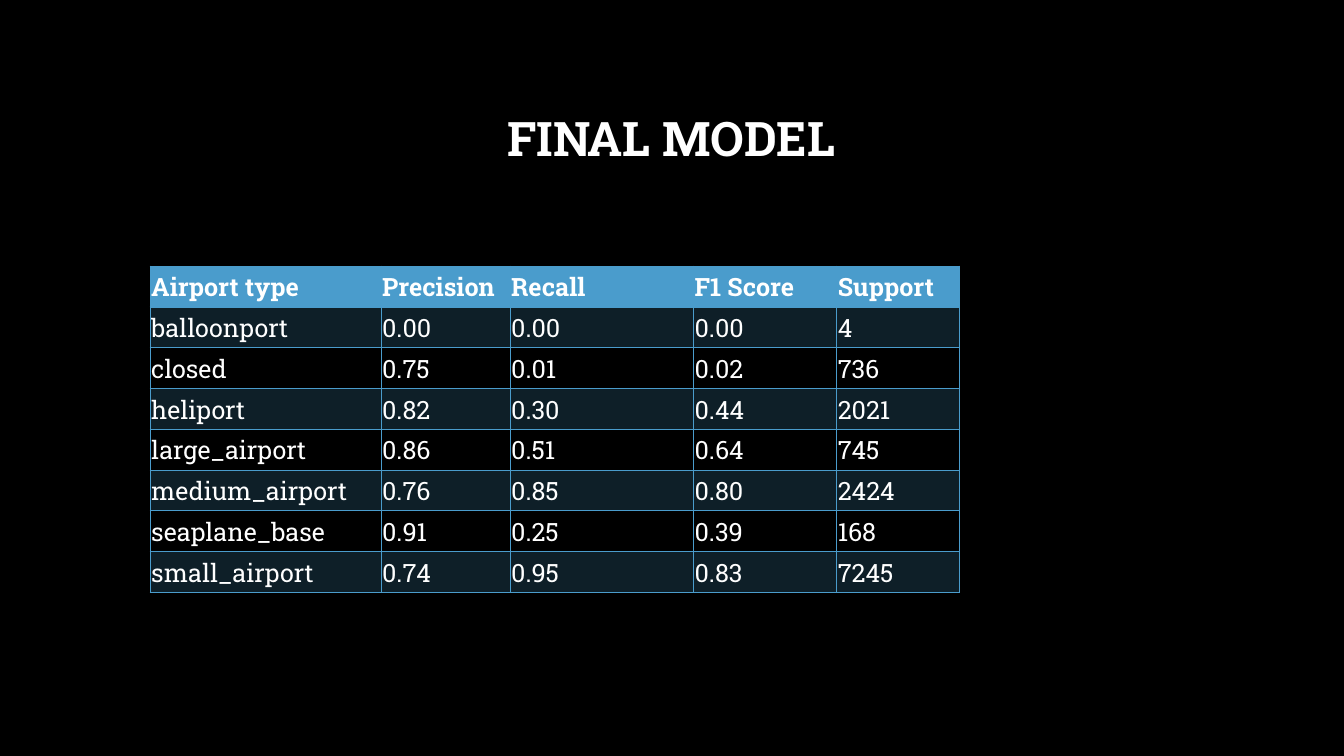
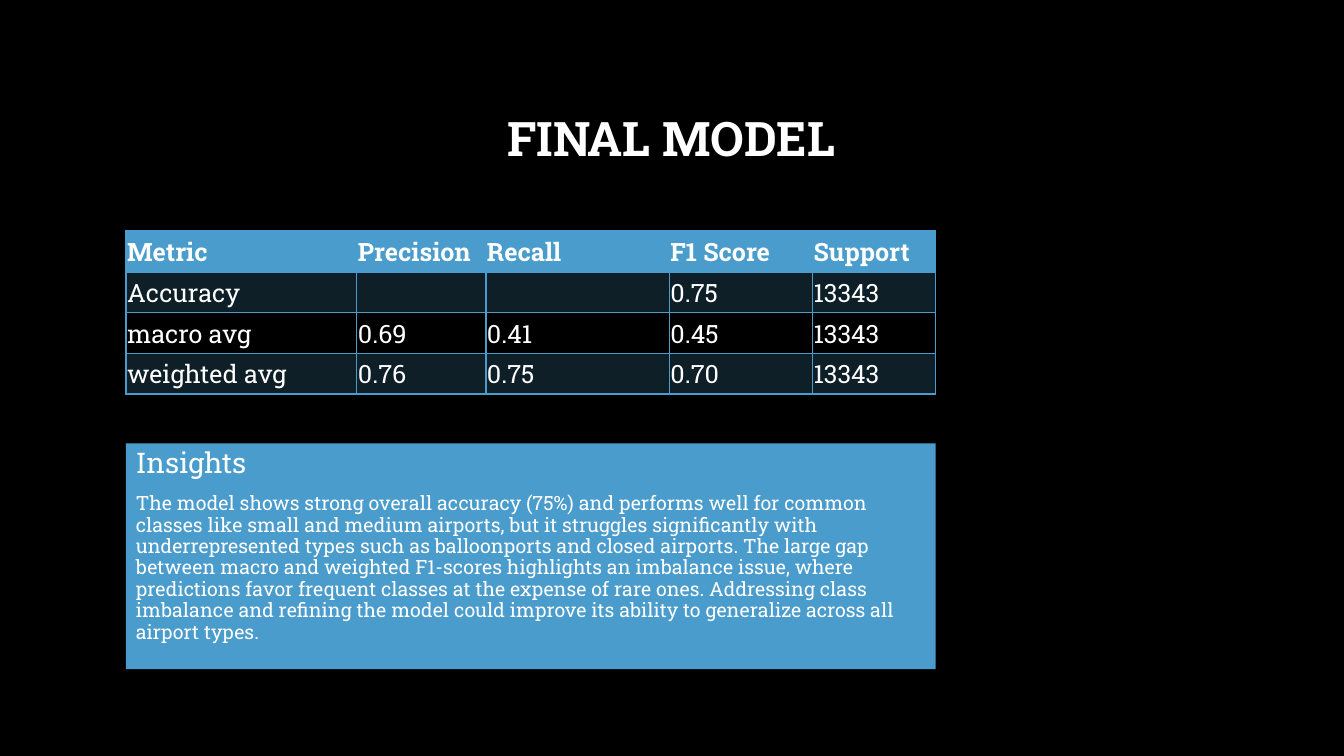
from pptx import Presentation
from pptx.dml.color import RGBColor
from pptx.enum.shapes import MSO_SHAPE
from pptx.enum.text import MSO_ANCHOR, PP_ALIGN
from pptx.oxml.ns import qn
from pptx.util import Inches, Pt
from lxml.etree import SubElement

FONT = "Roboto Slab"
BLACK, WHITE, BLUE = "000000", "FFFFFF", "4A9CCC"
COLUMN_WIDTHS = [2.29, 1.28, 1.82, 1.42, 1.22]
TABLE_WIDTH = sum(COLUMN_WIDTHS)
ROW_HEIGHT = 0.405
SCORES = ["Precision", "Recall", "F1 Score", "Support"]

AIRPORT_ROWS = [
    ["Airport type", *SCORES],
    ["balloonport", "0.00", "0.00", "0.00", "4"],
    ["closed", "0.75", "0.01", "0.02", "736"],
    ["heliport", "0.82", "0.30", "0.44", "2021"],
    ["large_airport", "0.86", "0.51", "0.64", "745"],
    ["medium_airport", "0.76", "0.85", "0.80", "2424"],
    ["seaplane_base", "0.91", "0.25", "0.39", "168"],
    ["small_airport", "0.74", "0.95", "0.83", "7245"],
]
SUMMARY_ROWS = [
    ["Metric", *SCORES],
    ["Accuracy", "", "", "0.75", "13343"],
    ["macro avg", "0.69", "0.41", "0.45", "13343"],
    ["weighted avg", "0.76", "0.75", "0.70", "13343"],
]
INSIGHTS = (
    "The model shows strong overall accuracy (75%) and performs well for common "
    "classes like small and medium airports, but it struggles significantly with "
    "underrepresented types such as balloonports and closed airports. The large gap "
    "between macro and weighted F1-scores highlights an imbalance issue, where "
    "predictions favor frequent classes at the expense of rare ones. Addressing class "
    "imbalance and refining the model could improve its ability to generalize across "
    "all airport types."
)


def rgb(color):
    return RGBColor.from_string(color)


def write(p, text, size, bold=False):
    p.text = text
    for r in p.runs:
        r.font.name = FONT
        r.font.size = Pt(size)
        r.font.bold = bold
        r.font.color.rgb = rgb(WHITE)


def add_slide(prs, title):
    s = prs.slides.add_slide(prs.slide_layouts[6])
    s.background.fill.solid()
    s.background.fill.fore_color.rgb = rgb(BLACK)
    box = s.shapes.add_textbox(Inches(1), Inches(0.67), Inches(11.32), Inches(1.45))
    tf = box.text_frame
    tf.word_wrap = True
    tf.vertical_anchor = MSO_ANCHOR.MIDDLE
    p = tf.paragraphs[0]
    p.alignment = PP_ALIGN.CENTER
    p.line_spacing = 0.9
    write(p, title, 34, bold=True)
    return s


def set_borders(cell, widths):
    """Draw blue borders; widths maps a side (L, R, T, B) to points."""
    tc_pr = cell._tc.get_or_add_tcPr()
    for side, width in widths.items():
        line = SubElement(tc_pr, qn(f"a:ln{side}"), w=str(Pt(width)))
        fill = SubElement(line, qn("a:solidFill"))
        SubElement(fill, qn("a:srgbClr"), val=BLUE)


def fill_cell(cell, opacity):
    """Fill with blue at the given percentage; 0 leaves the cell clear."""
    if not opacity:
        cell.fill.background()
        return
    cell.fill.solid()
    cell.fill.fore_color.rgb = rgb(BLUE)
    if opacity < 100:
        color = cell._tc.tcPr.find(f"{qn('a:solidFill')}/{qn('a:srgbClr')}")
        SubElement(color, qn("a:alpha"), val=str(opacity * 1000))


def add_score_table(s, left, top, rows):
    frame = s.shapes.add_table(
        len(rows), len(COLUMN_WIDTHS), Inches(left), Inches(top),
        Inches(TABLE_WIDTH), Inches(ROW_HEIGHT * len(rows)))
    table = frame.table
    for column, width in zip(table.columns, COLUMN_WIDTHS):
        column.width = Inches(width)
    for i, values in enumerate(rows):
        is_header = i == 0
        opacity = 100 if is_header else 20 * (i % 2)
        top_width, bottom_width = (2 if i == 1 else 1), (2 if is_header else 1)
        for j, value in enumerate(values):
            cell = table.cell(i, j)
            cell.margin_left = cell.margin_right = cell.margin_top = Inches(0.01)
            cell.margin_bottom = 0
            cell.vertical_anchor = MSO_ANCHOR.MIDDLE
            write(cell.text_frame.paragraphs[0], value, 18, bold=is_header)
            set_borders(cell, {"L": 1, "R": 1, "T": top_width, "B": bottom_width})
            fill_cell(cell, opacity)


def add_insights(s, left, top, heading, body):
    panel = s.shapes.add_shape(
        MSO_SHAPE.RECTANGLE, Inches(left), Inches(top), Inches(TABLE_WIDTH), Inches(2.24))
    panel.shadow.inherit = False
    panel.fill.solid()
    panel.fill.fore_color.rgb = rgb(BLUE)
    panel.line.fill.background()
    tf = panel.text_frame
    tf.word_wrap = True
    tf.vertical_anchor = MSO_ANCHOR.TOP
    first, second = tf.paragraphs[0], tf.add_paragraph()
    second.space_before = Pt(10)
    for p, text, size in ((first, heading, 20.3), (second, body, 14)):
        p.alignment = PP_ALIGN.LEFT
        p.line_spacing = 0.91
        write(p, text, size)


def main():
    prs = Presentation()
    prs.slide_width, prs.slide_height = Inches(13.33), Inches(7.5)

    s = add_slide(prs, "FINAL MODEL")
    add_score_table(s, 1.49, 2.64, AIRPORT_ROWS)

    s = add_slide(prs, "FINAL MODEL")
    add_score_table(s, 1.25, 2.29, SUMMARY_ROWS)
    add_insights(s, 1.25, 4.4, "Insights", INSIGHTS)

    prs.save("out.pptx")


if __name__ == "__main__":
    main()
